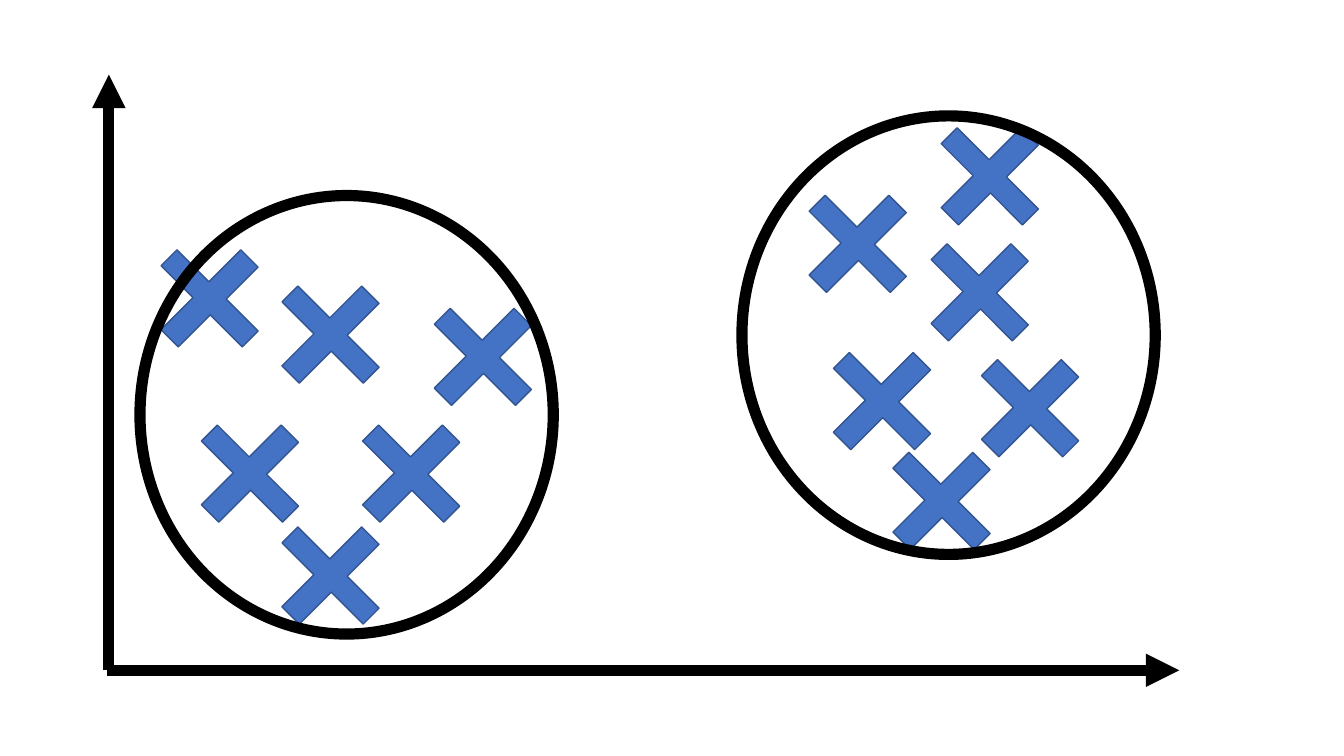
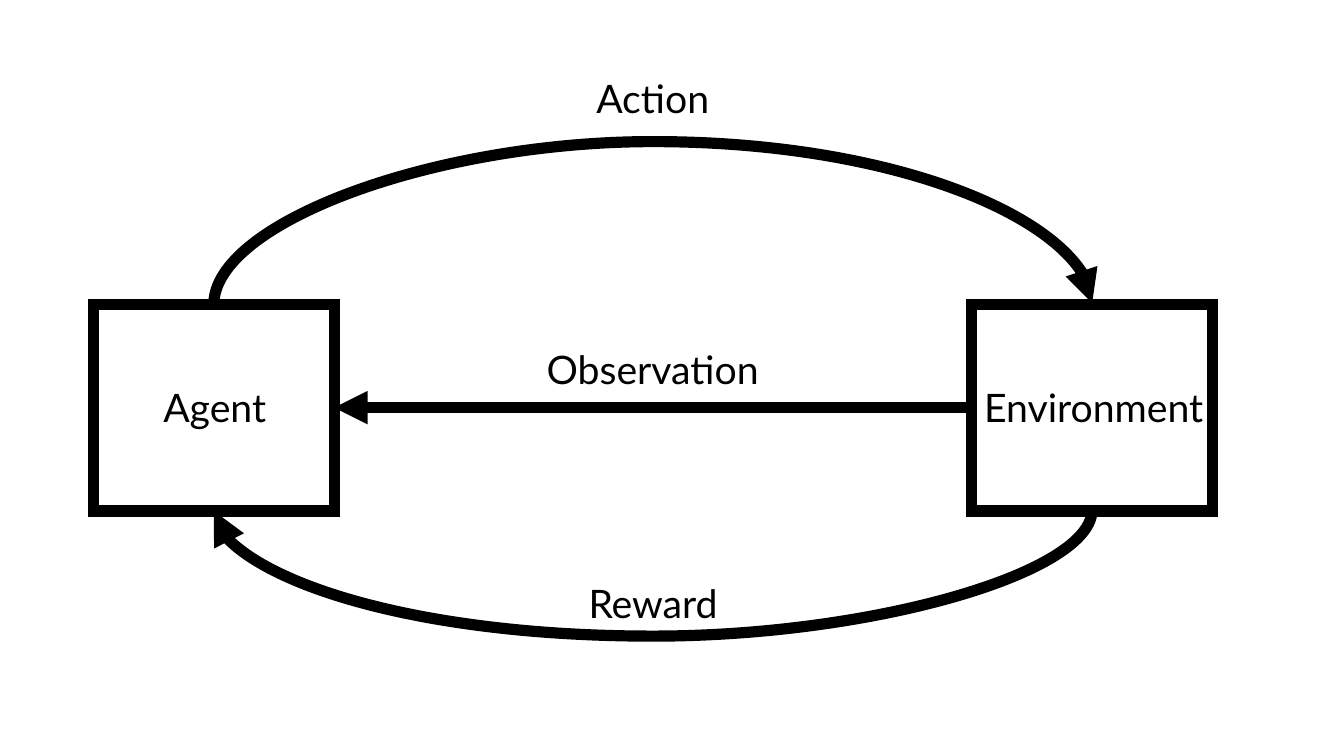
from lxml.etree import SubElement
from pptx import Presentation
from pptx.dml.color import RGBColor
from pptx.enum.shapes import MSO_CONNECTOR, MSO_SHAPE
from pptx.enum.text import MSO_AUTO_SIZE, PP_ALIGN
from pptx.oxml.ns import qn
from pptx.util import Pt

BLACK = RGBColor(0x00, 0x00, 0x00)
BLUE = RGBColor(0x44, 0x72, 0xC4)
DARK_BLUE = RGBColor(0x32, 0x54, 0x91)
FONT = "Lato"
THICK = Pt(8)


def add_label(slide, text, left, top, width, height=41, size=28, color=BLACK):
    box = slide.shapes.add_textbox(Pt(left), Pt(top), Pt(width), Pt(height))
    frame = box.text_frame
    frame.word_wrap = False
    frame.auto_size = MSO_AUTO_SIZE.SHAPE_TO_FIT_TEXT
    paragraph = frame.paragraphs[0]
    paragraph.alignment = PP_ALIGN.CENTER
    run = paragraph.add_run()
    run.text = text
    run.font.name = FONT
    run.font.size = Pt(size)
    run.font.color.rgb = color


def add_arrow(slide, start, end, kind=MSO_CONNECTOR.STRAIGHT):
    arrow = slide.shapes.add_connector(kind, *map(Pt, start + end))
    arrow.line.color.rgb = BLACK
    arrow.line.width = THICK
    properties = arrow.element.spPr
    SubElement(properties.find(qn("a:ln")), qn("a:tailEnd"), type="triangle")
    SubElement(properties, qn("a:effectLst"))
    return arrow


presentation = Presentation()
presentation.slide_width = Pt(960)
presentation.slide_height = Pt(540)
blank_layout = presentation.slide_layouts[6]

cluster_slide = presentation.slides.add_slide(blank_layout)
add_arrow(cluster_slide, (76.5, 478.8), (842.4, 478.8))
add_arrow(cluster_slide, (77.8, 478.8), (77.8, 53.3))

clusters = [
    ((100, 139.7), [(137.5, 298), (252.7, 298), (195.1, 198.7),
                    (303.9, 214.6), (195.1, 370.8), (108.7, 172.8)]),
    ((530, 82.8), [(658.8, 168.5), (694.8, 251.3), (589, 246.2),
                   (631.5, 317.5), (571.7, 133.9), (666, 85.7)]),
]
for _, crosses in clusters:
    for left, top in crosses:
        cross = cluster_slide.shapes.add_shape(
            MSO_SHAPE.CROSS, Pt(left), Pt(top), Pt(82), Pt(80.6))
        cross.adjustments[0] = 0.4
        cross.rotation = 45
        cross.shadow.inherit = False
        cross.fill.solid()
        cross.fill.fore_color.rgb = BLUE
        cross.line.color.rgb = DARK_BLUE
        cross.line.width = Pt(1)

for (left, top), _ in clusters:
    circle = cluster_slide.shapes.add_shape(
        MSO_SHAPE.OVAL, Pt(left), Pt(top), Pt(295.2), Pt(313.2))
    circle.shadow.inherit = False
    circle.fill.background()
    circle.line.color.rgb = BLACK
    circle.line.width = THICK

loop_slide = presentation.slides.add_slide(blank_layout)
boxes = []
for left in (66.6, 694.1):
    box = loop_slide.shapes.add_shape(
        MSO_SHAPE.RECTANGLE, Pt(left), Pt(217.4), Pt(172.1), Pt(147.6))
    box.shadow.inherit = False
    box.fill.background()
    box.line.color.rgb = BLACK
    box.line.width = THICK
    SubElement(box.element.spPr.find(qn("a:ln")), qn("a:miter"), lim="800000")
    boxes.append(box)
agent, environment = boxes

TOP, LEFT, BOTTOM, RIGHT = range(4)
SPAN = 627.4
curves = [
    (agent, environment, TOP, 217, 117.27, "1"),
    (environment, agent, BOTTOM, 364.5, 91.09, "0"),
]
for source, target, site, middle, bulge, flip in curves:
    curve = add_arrow(loop_slide, (0, 0), (1, SPAN), MSO_CONNECTOR.CURVE)
    curve.begin_connect(source, site)
    curve.end_connect(target, site)
    curve.left, curve.top = Pt(465.9), Pt(middle - SPAN / 2)
    curve.width, curve.height = Pt(1), Pt(SPAN)
    frame = curve.element.spPr.find(qn("a:xfrm"))
    frame.set("rot", "5400000")
    frame.set("flipH", flip)
    frame.set("flipV", flip)
    guides = curve.element.spPr.find(qn("a:prstGeom")).find(qn("a:avLst"))
    SubElement(guides, qn("a:gd"), name="adj1", fmla=f"val {round(bulge * 100000)}")

observation = add_arrow(loop_slide, (694.1, 291.2), (238.7, 291.2))
observation.begin_connect(environment, LEFT)
observation.end_connect(agent, RIGHT)

labels = [
    ("Agent", 108.7, 270, 89.3),
    ("Environment", 694.1, 270, 174.2),
    ("Action", 418.3, 49.7, 95.8),
    ("Observation", 382.3, 243.4, 167.8),
    ("Reward", 411.8, 410.4, 109.4),
]
for text, left, top, width in labels:
    add_label(loop_slide, text, left, top, width)

presentation.save("out.pptx")
